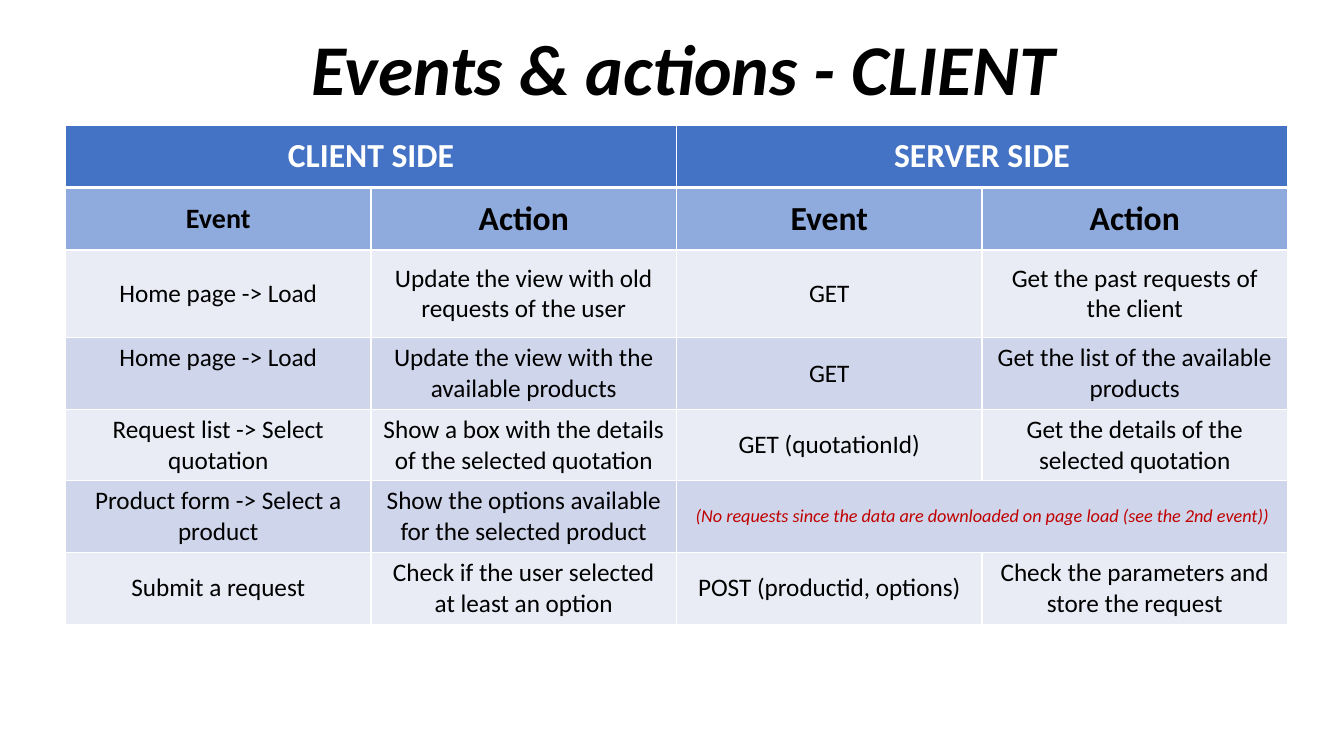
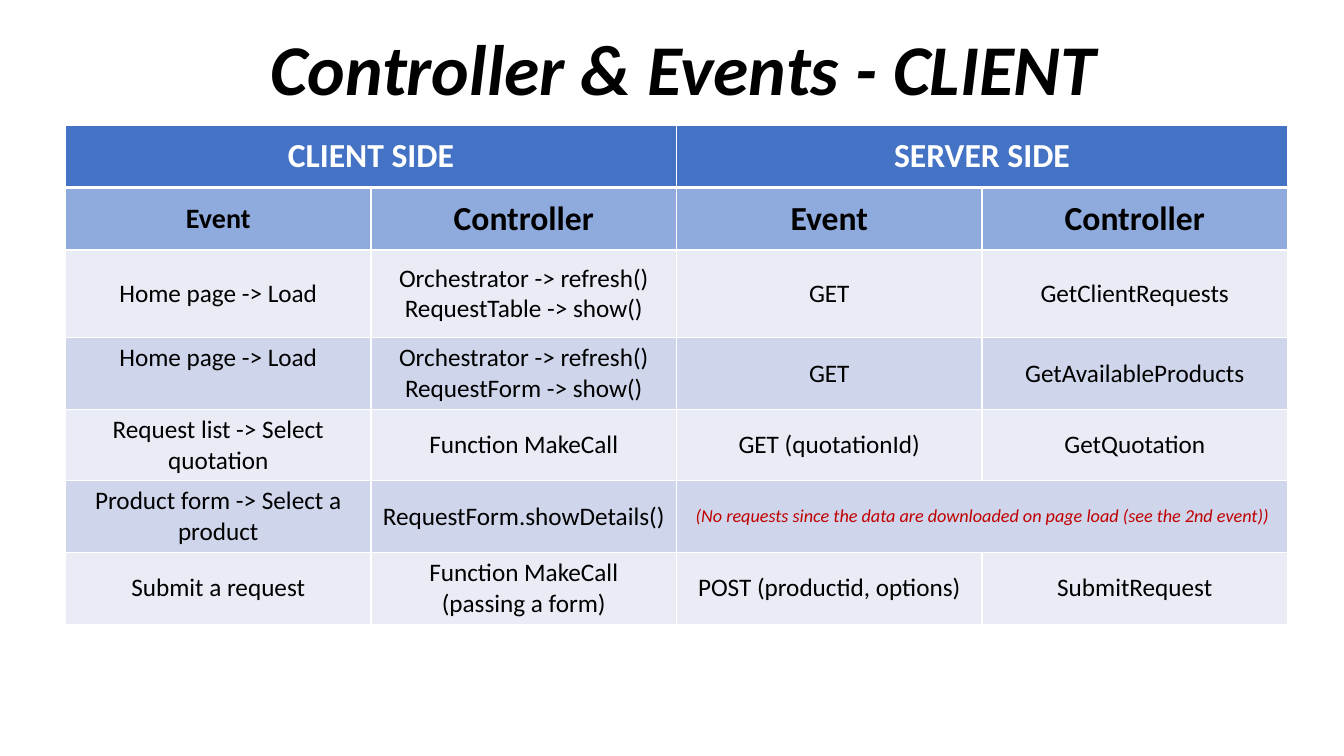
import pptx
import pptx.util
import pptx.dml.color
import pptx.enum.text
from lxml import etree
from pptx.oxml import ns

Inches, Pt = pptx.util.Inches, pptx.util.Pt
RGBColor = pptx.dml.color.RGBColor
ANCHOR = pptx.enum.text.MSO_ANCHOR
CENTER = pptx.enum.text.PP_ALIGN.CENTER

FONT = "Calibri"
BLACK = RGBColor(0x00, 0x00, 0x00)
WHITE = RGBColor(0xFF, 0xFF, 0xFF)
RED = RGBColor(0xC0, 0x00, 0x00)
BLUE = RGBColor(0x44, 0x72, 0xC4)
LIGHT_BLUE = RGBColor(0x8F, 0xAA, 0xDC)
BANDS = (RGBColor(0xE9, 0xEB, 0xF5), RGBColor(0xCF, 0xD5, 0xEA))

SIDES = ("CLIENT SIDE", "SERVER SIDE")
NO_REQUEST = "(No requests since the data are downloaded on page load (see the 2nd event))"
# Client event and the server event it causes
EVENTS = [
    ("Home page -> Load", "GET"),
    ("Home page -> Load", "GET"),
    ("Request list -> Select quotation", "GET (quotationId)"),
    ("Product form -> Select a product", NO_REQUEST),
    ("Submit a request", "POST (productid, options)"),
]
# Each response pairs the client's reaction with the server's
SLIDES = [
    {
        "title": "Events & actions - CLIENT",
        "heading": "Action",
        "responses": [
            ("Update the view with old requests of the user", "Get the past requests of the client"),
            ("Update the view with the available products", "Get the list of the available products"),
            ("Show a box with the details of the selected quotation",
             "Get the details of the selected quotation"),
            ("Show the options available for the selected product", None),
            ("Check if the user selected at least an option", "Check the parameters and store the request"),
        ],
    },
    {
        "title": "Controller & Events - CLIENT",
        "heading": "Controller",
        "responses": [
            ("Orchestrator -> refresh()\nRequestTable -> show()", "GetClientRequests"),
            ("Orchestrator -> refresh()\nRequestForm -> show()", "GetAvailableProducts"),
            ("Function MakeCall", "GetQuotation"),
            ("RequestForm.showDetails()", None),
            ("Function MakeCall\n(passing a form)", "SubmitRequest"),
        ],
    },
]

COLUMN_WIDTH = 3.03
ROW_HEIGHTS = (0.62, 0.62, 0.87, 0.71, 0.71, 0.71, 0.71)
HEADER_ROWS = 2
TOP_ALIGNED = (3, 0)


def add_title(page, text):
    title = page.shapes.title
    title.left, title.top = Inches(2.28), Inches(0.33)
    title.width, title.height = Inches(9), Inches(0.79)
    frame = title.text_frame
    frame.text = text
    frame.auto_size = pptx.enum.text.MSO_AUTO_SIZE.NONE
    frame.vertical_anchor = ANCHOR.BOTTOM
    para = frame.paragraphs[0]
    para.line_spacing = 0.7
    style_paragraph(para, 51, BLACK, bold=True, italic=True)


def style_paragraph(para, size, color, bold=False, italic=False):
    para.alignment = CENTER
    font = para.font
    font.name, font.size = FONT, Pt(size)
    font.bold, font.italic = bold, italic
    font.color.rgb = color


def add_borders(cell, top, bottom):
    """Draw white cell edges; must run before the fill is set."""
    properties = cell._tc.get_or_add_tcPr()
    for edge, width in (("L", 1), ("R", 1), ("T", top), ("B", bottom)):
        line = etree.SubElement(properties, ns.qn(f"a:ln{edge}"), w=str(Pt(width)))
        solid = etree.SubElement(line, ns.qn("a:solidFill"))
        etree.SubElement(solid, ns.qn("a:srgbClr"), val=str(WHITE))


def cell_style(row, column, text):
    """Return fill, text size, text colour, bold and italic."""
    if row == 0:
        return BLUE, 24, WHITE, True, False
    if row == 1:
        return LIGHT_BLUE, 20 if column == 0 else 24, BLACK, True, False
    band = BANDS[(row - HEADER_ROWS) % 2]
    if text == NO_REQUEST:
        return band, 13, RED, False, True
    return band, 18, BLACK, False, False


def table_rows(content):
    """Return rows of four texts; None joins a cell to the one on its left."""
    rows = [(SIDES[0], None, SIDES[1], None), ("Event", content["heading"]) * 2]
    for (client_event, server_event), (client, server) in zip(EVENTS, content["responses"]):
        rows.append((client_event, client, server_event, server))
    return rows


def add_event_table(page, rows):
    columns = len(rows[0])
    frame = page.shapes.add_table(
        len(rows), columns, Inches(0.65), Inches(1.24),
        Inches(COLUMN_WIDTH * columns), Inches(sum(ROW_HEIGHTS)))
    table = frame.table
    table.first_row = table.horz_banding = False
    for column in table.columns:
        column.width = Inches(COLUMN_WIDTH)
    for r, texts in enumerate(rows):
        table.rows[r].height = Inches(ROW_HEIGHTS[r])
        for c, text in enumerate(texts):
            cell = table.cell(r, c)
            fill, *text_style = cell_style(r, c, text)
            add_borders(cell, top=3 if r == 1 else 1, bottom=3 if r == 0 else 1)
            cell.fill.solid()
            cell.fill.fore_color.rgb = fill
            if text is None:
                table.cell(r, c - 1).merge(cell)
                continue
            cell.text = text
            cell.vertical_anchor = ANCHOR.TOP if (r, c) == TOP_ALIGNED else ANCHOR.MIDDLE
            for para in cell.text_frame.paragraphs:
                style_paragraph(para, *text_style)


def main():
    deck = pptx.Presentation()
    deck.slide_width, deck.slide_height = Inches(13.33), Inches(7.5)
    title_only = deck.slide_layouts[5]
    for content in SLIDES:
        page = deck.slides.add_slide(title_only)
        add_title(page, content["title"])
        add_event_table(page, table_rows(content))
    deck.save("out.pptx")


if __name__ == "__main__":
    main()
